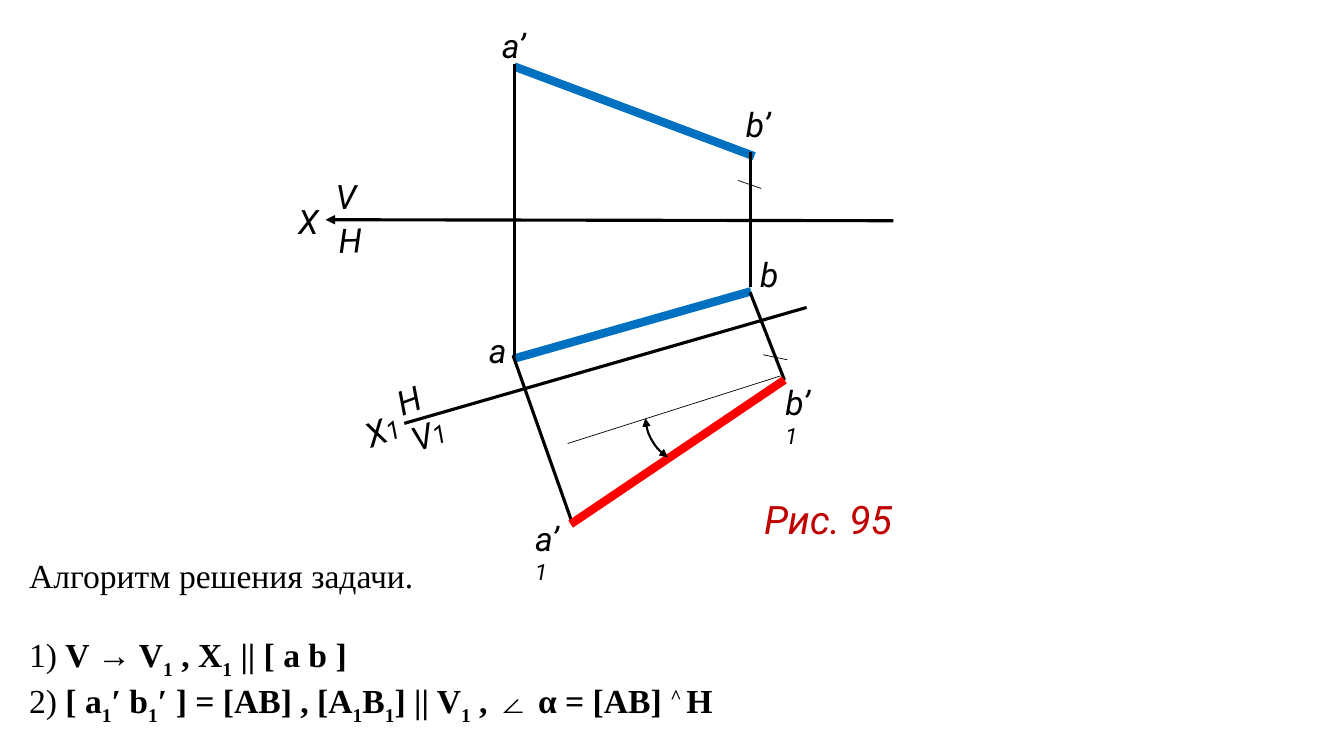
from lxml.etree import SubElement
from pptx import Presentation
from pptx.dml.color import RGBColor
from pptx.enum.shapes import MSO_CONNECTOR, MSO_SHAPE
from pptx.enum.text import PP_ALIGN
from pptx.oxml.ns import qn
from pptx.util import Inches, Pt

BLACK, BLUE, RED, WINE = "000000", "0070C0", "FF0000", "C00000"


def rgb(code):
    return RGBColor.from_string(code)


def add_run(para, text, size=24, font="Roboto", color=BLACK,
            bold=False, italic=False, base=0):
    """Add a run; base is its raise above the line in percent."""
    run = para.add_run()
    run.text = text
    face = run.font
    face.size, face.name = Pt(size), font
    face.bold, face.italic = bold, italic
    face.color.rgb = rgb(color)
    if base:
        run._r.get_or_add_rPr().set("baseline", str(base * 1000))


class Board:
    def __init__(self, slide):
        self.shapes = slide.shapes

    def stroke(self, item, color, width, ends):
        item.line.color.rgb = rgb(color)
        item.line.width = Pt(width)
        edge = item.line._get_or_add_ln()
        for end in ends:
            SubElement(edge, qn(f"a:{end}End"), type="triangle")

    def line(self, start, stop, color=BLACK, width=2.25, ends=()):
        x1, y1, x2, y2 = map(Inches, (*start, *stop))
        link = self.shapes.add_connector(MSO_CONNECTOR.STRAIGHT, x1, y1, x2, y2)
        self.stroke(link, color, width, ends)
        SubElement(link._element.spPr, qn("a:effectLst"))

    def arc(self, box, turn, sweep):
        arc = self.shapes.add_shape(MSO_SHAPE.ARC, *map(Inches, box))
        arc.adjustments[0], arc.adjustments[1] = sweep
        arc.rotation = turn
        arc.shadow.inherit = False
        arc.fill.background()
        self.stroke(arc, BLACK, 1.5, ("head", "tail"))

    def frame(self, box, turn=0, wrap=True):
        area = self.shapes.add_textbox(*map(Inches, box))
        area.rotation = turn
        area.text_frame.word_wrap = wrap
        return area.text_frame

    def label(self, box, text, sub="", small=18, turn=0, wrap=False, **style):
        para = self.frame(box, turn, wrap).paragraphs[0]
        add_run(para, text, italic=True, **style)
        if sub:
            add_run(para, sub, size=small, italic=True)

    def steps(self, box, rows):
        """Write rows of (text, bold, base) runs, with a gap after the title."""
        frame = self.frame(box)
        for i, row in enumerate(rows):
            para = frame.add_paragraph() if i else frame.paragraphs[0]
            para.alignment = PP_ALIGN.JUSTIFY
            if i == 1:
                para.space_before = Pt(27.6)
            for text, bold, base in row:
                add_run(para, text, font="Times New Roman", bold=bold, base=base)


def formula(lead, *parts):
    """Make bold runs after a plain lead; every second part is a subscript."""
    return [(lead, False, 0)] + [
        (part, True, -25 * (i % 2)) for i, part in enumerate(parts)]


def main():
    deck = Presentation()
    deck.slide_width, deck.slide_height = Inches(13.33), Inches(7.5)
    board = Board(deck.slides.add_slide(deck.slide_layouts[6]))

    # Axes
    board.line((3.23, 2.18), (8.86, 2.19), ends=["head"])
    board.line((4.01, 4.2), (8, 3.05))

    # Level line and equal-length ticks
    for start, stop in [((7.74, 3.73), (5.63, 4.4)),
                        ((7.57, 3.52), (7.81, 3.57)),
                        ((7.32, 1.79), (7.55, 1.87))]:
        board.line(start, stop, width=0.5)

    # Projections of the segment, with the links between them
    board.line((5.1, 0.66), (7.48, 1.55), BLUE, 6)
    board.line((5.09, 3.56), (7.45, 2.89), BLUE, 6)
    for start, stop in [((7.44, 2.9), (7.78, 3.77)),
                        ((5.09, 3.53), (5.68, 5.2)),
                        ((5.1, 0.64), (5.1, 3.53)),
                        ((7.44, 1.51), (7.44, 2.85))]:
        board.line(start, stop)
    board.line((5.66, 5.2), (7.78, 3.77), RED, 6)
    board.arc((6.4, 3.62, 1, 1), 208.3, (165.139, 196.994))

    # Axis names
    board.label((3.52, 4.01, 0.58, 0.5), "X", "1", turn=338.9, wrap=True)
    board.label((3.84, 3.72, 0.41, 0.5), "H", turn=339.3, wrap=True)
    board.label((3.98, 4.05, 0.57, 0.5), "V", "1", turn=340, wrap=True)
    board.label((2.86, 1.94, 0.4, 0.5), "X")
    board.label((3.26, 2.13, 0.38, 0.5), "H", turn=358.3)
    board.label((3.23, 1.7, 0.43, 0.5), "V", wrap=True)

    # Point names
    for left, top, width, name in [(4.88, 0.2, 0.44, "a’"),
                                   (4.75, 3.22, 0.36, "a"),
                                   (7.44, 2.47, 0.36, "b"),
                                   (7.3, 0.98, 0.44, "b’")]:
        board.label((left, top, width, 0.5), name)
    for left, top, name in [(5.21, 5.09, "a’"), (7.69, 3.74, "b’")]:
        board.label((left, top, 0.51, 0.5), name, "1", small=16, wrap=True)

    board.label((7.48, 4.86, 2.13, 0.57), "Рис. 95", size=28, color=WINE, wrap=True)

    board.steps((0.19, 5.46, 7.37, 2.12), [
        [("Алгоритм решения задачи.", False, 0)],
        formula("1) ", "V → V", "1", " , X", "1", " || [ a b ]"),
        formula("2) ", "[ a", "1", "′ b", "1", "′ ] = [AB] , [A", "1", "B", "1",
                "] || V", "1", " , ∠ α = [AB] ")
        + [("^ ", True, 30), ("H", True, 0)],
    ])
    deck.save("out.pptx")


if __name__ == "__main__":
    main()
